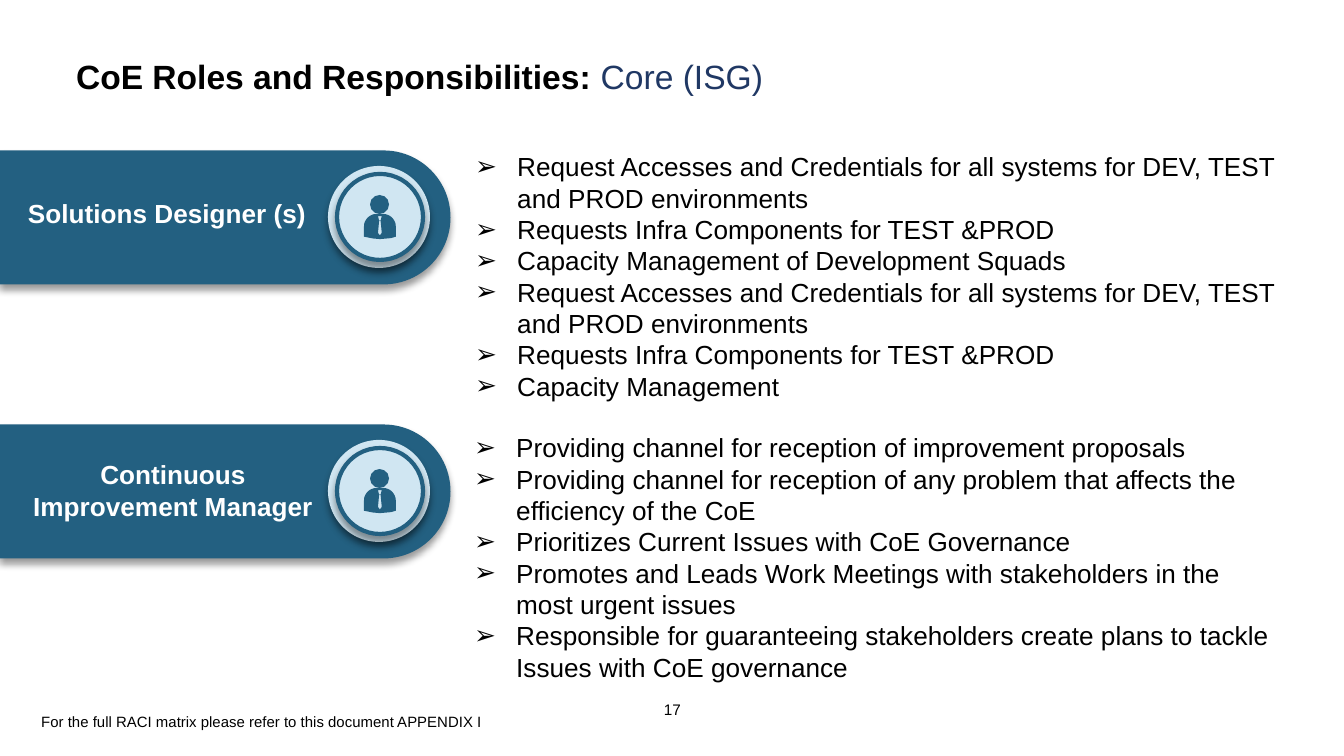
from math import cos, pi, sin
from lxml.etree import SubElement
from pptx import Presentation
from pptx.dml.color import RGBColor
from pptx.enum.shapes import MSO_SHAPE as Shape
from pptx.enum.text import PP_ALIGN as Align
from pptx.oxml.ns import qn
from pptx.util import Pt

SCALE = 914400 / 134.4
BLACK, WHITE, NAVY, TEAL, PALE = "000000", "FFFFFF", "203864", "236081", "D0E6F2"
ROW_STEP = 274

DESIGNER_DUTIES = [
    "Request Accesses and Credentials for all systems for DEV, TEST and PROD environments",
    "Requests Infra Components for TEST &PROD",
    "Capacity Management of Development Squads",
    "Request Accesses and Credentials for all systems for DEV, TEST and PROD environments",
    "Requests Infra Components for TEST &PROD",
    "Capacity Management",
]
MANAGER_DUTIES = [
    "Providing channel for reception of improvement proposals",
    "Providing channel for reception of any problem that affects the efficiency of the CoE",
    "Prioritizes Current Issues with CoE Governance",
    "Promotes and Leads Work Meetings with stakeholders in the most urgent issues",
    "Responsible for guaranteeing stakeholders create plans to tackle Issues with CoE governance",
]
ROLES = [
    ("Solutions Designer (s)", (12, 191, 310, 46), DESIGNER_DUTIES, (462, 144, 836, 267)),
    ("Continuous Improvement Manager", (11, 452, 324, 77), MANAGER_DUTIES, (461, 425, 836, 267)),
]


def px(*lengths):
    return [round(length * SCALE) for length in lengths]


def color(value):
    return RGBColor.from_string(value)


def quarter_arc(center_x, center_y, radius_x, radius_y, start):
    angles = [start + step * pi / 16 for step in range(9)]
    return [(round(center_x + radius_x * cos(a)), round(center_y + radius_y * sin(a))) for a in angles]


class RoleSlide:
    """Holds the style and the current slide, and draws each kind of element."""

    def __init__(self, slide, font="Arial"):
        self.slide = slide
        self.font = font

    def text(self, box, paragraphs, size, ink=BLACK, bold=False, align=Align.LEFT,
             inset=None, wrap=True, parent=None):
        shape = (parent or self.slide).shapes.add_textbox(*px(*box))
        frame = shape.text_frame
        frame.text = "\n".join(paragraphs)
        frame.word_wrap = wrap
        if inset is not None:
            frame.margin_left = frame.margin_right = px(inset)[0]
            frame.margin_top = frame.margin_bottom = px(inset)[0]
        for paragraph in frame.paragraphs:
            paragraph.alignment = align
            for run in paragraph.runs:
                self.style(run, size, ink, bold)
        return frame

    def style(self, run, size, ink, bold):
        run.font.name = self.font
        run.font.size = Pt(size)
        run.font.bold = bold
        run.font.color.rgb = color(ink)

    def title(self, box, lead, subject):
        paragraph = self.text(box, [lead], 18, bold=True, inset=13).paragraphs[0]
        run = paragraph.add_run()
        run.text = subject
        self.style(run, 18, NAVY, False)

    def bullets(self, box, items):
        indent = px(42)[0]
        for paragraph in self.text(box, items, 14).paragraphs:
            properties = paragraph._p.get_or_add_pPr()
            properties.set("marL", str(indent))
            properties.set("indent", str(-indent))
            bullet_color = SubElement(properties, qn("a:buClr"))
            SubElement(bullet_color, qn("a:srgbClr"), val=BLACK)
            SubElement(properties, qn("a:buFont"), typeface=self.font)
            SubElement(properties, qn("a:buChar"), char="➢")

    def paint(self, shape, fill, line=None, shadow=False):
        shape.shadow.inherit = False
        shape.fill.solid()
        shape.fill.fore_color.rgb = color(fill)
        if line:
            shape.line.color.rgb = color(line)
            shape.line.width = Pt(2.25)
        else:
            shape.line.fill.background()
        if shadow:
            effects = shape._element.spPr.find(qn("a:effectLst"))
            outer = SubElement(effects, qn("a:outerShdw"), blurRad=str(Pt(4)),
                               dist=str(Pt(3)), dir="5400000", rotWithShape="0")
            tint = SubElement(outer, qn("a:srgbClr"), val=BLACK)
            SubElement(tint, qn("a:alpha"), val="40000")

    def banner(self, group, left, top, width, height):
        shift = (width - height) // 2
        shape = group.shapes.add_shape(
            Shape.ROUND_2_SAME_RECTANGLE, *px(left + shift, top - shift, height, width))
        shape.adjustments[0], shape.adjustments[1] = 0.5, 0
        shape.rotation = 90
        self.paint(shape, TEAL, shadow=True)

    def circle(self, group, left, top, diameter, fill, line=None, shadow=True):
        shape = group.shapes.add_shape(Shape.OVAL, *px(left, top, diameter, diameter))
        self.paint(shape, fill, line, shadow)

    def torso(self, group, left, top):
        body = [*quarter_arc(128, 125, 128, 125, pi), *quarter_arc(190, 125, 128, 125, 1.5 * pi),
                (318, 228), (270, 242), (160, 252), (90, 246), (0, 228)]
        knot = [(140, 22), (178, 22), (168, 62), (150, 62)]
        blade = [(152, 64), (166, 64), (178, 190), (159, 215), (140, 190)]
        builder = group.shapes.build_freeform(*body[0], scale=SCALE / 10)
        builder.add_line_segments(body[1:], close=True)
        for hole in (knot, blade):
            builder.move_to(*hole[0])
            builder.add_line_segments(hole[1:], close=True)
        self.paint(builder.convert_to_shape(*px(left, top)), TEAL)

    def role(self, top, label, label_box):
        group = self.slide.shapes.add_group_shape()
        self.banner(group, 0, top, 451, 134)
        self.circle(group, 328, top + 16, 102, PALE)
        self.circle(group, 337, top + 24, 86, PALE, line=TEAL)
        self.circle(group, 370, top + 45, 19, TEAL, shadow=False)
        self.torso(group, 364, top + 64)
        self.text(label_box, [label], 14, WHITE, True, Align.CENTER, parent=group)


def main():
    presentation = Presentation()
    presentation.slide_width, presentation.slide_height = px(1344, 756)
    page = RoleSlide(presentation.slides.add_slide(presentation.slide_layouts[6]))
    page.text((664, 700, 27, 19), ["17"], 8.2, inset=0, wrap=False)
    page.title((63, 43, 1214, 67), "CoE Roles and Responsibilities: ", "Core (ISG)")
    for row, (label, label_box, duties, duties_box) in enumerate(ROLES):
        page.role(150 + row * ROW_STEP, label, label_box)
        page.bullets(duties_box, duties)
    page.text((28, 706, 520, 32),
              ["For the full RACI matrix please refer to this document APPENDIX I"], 8)
    presentation.save("out.pptx")


if __name__ == "__main__":
    main()
